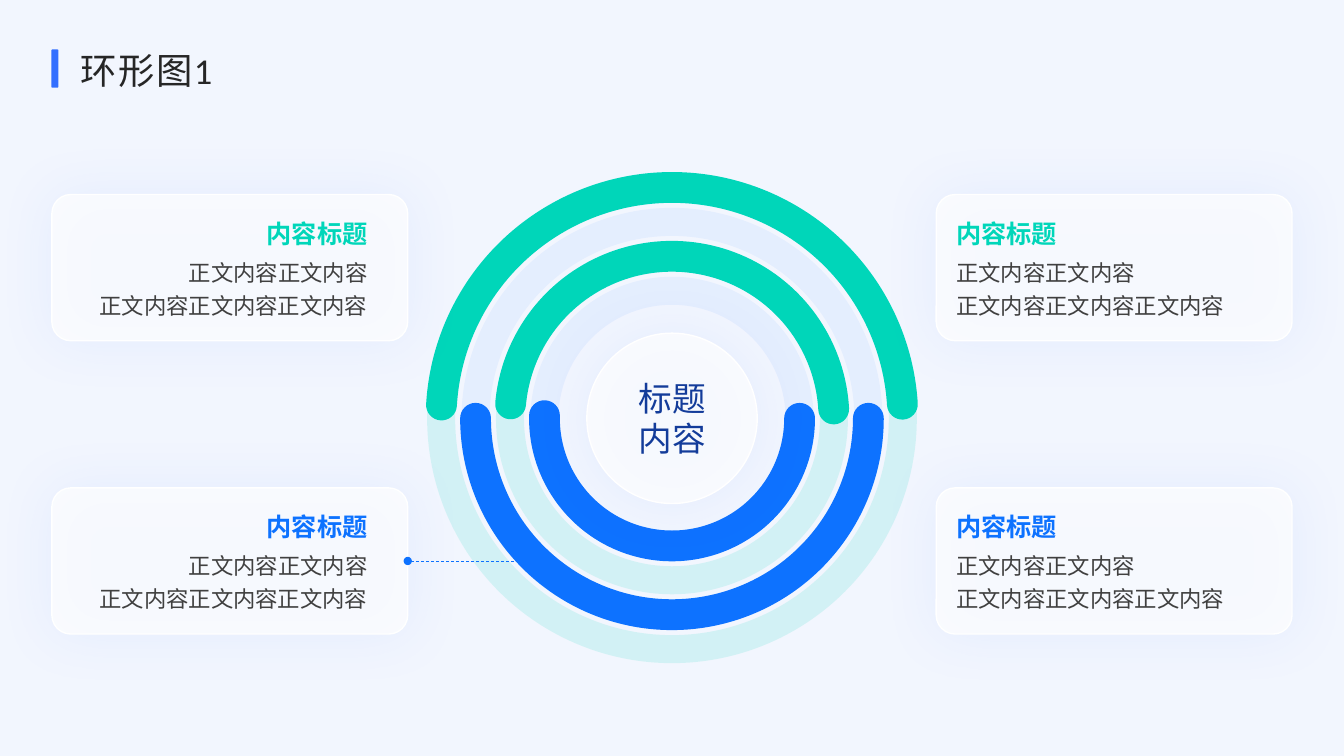
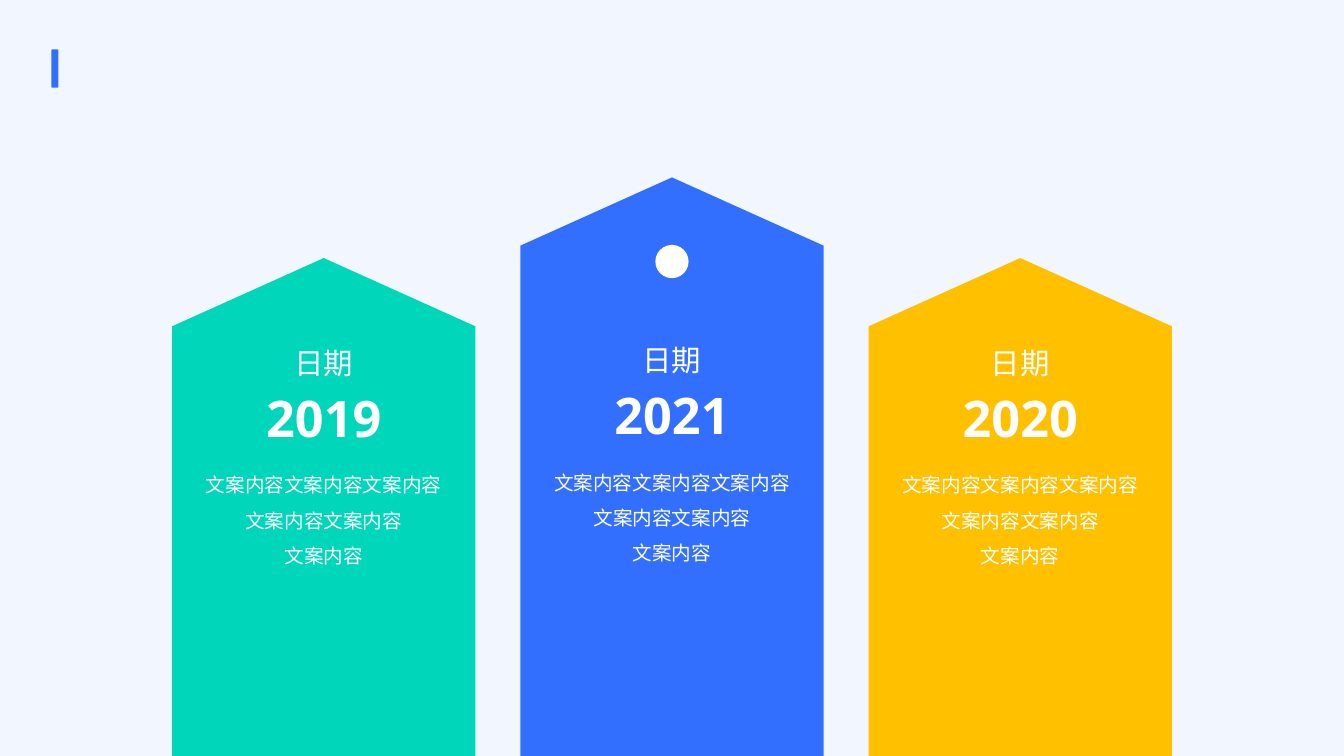
from dataclasses import dataclass

from lxml.etree import SubElement
from pptx import Presentation
from pptx.dml.color import RGBColor
from pptx.enum.dml import MSO_LINE
from pptx.enum.shapes import MSO_CONNECTOR, MSO_SHAPE
from pptx.enum.text import MSO_ANCHOR, PP_ALIGN
from pptx.oxml.ns import qn
from pptx.util import Emu, Inches, Pt

# The slide is a grid of square cells: 133.33 columns by 75 rows.
CELL = Inches(0.1)
COLUMNS, ROWS = 133.33, 75
MIDDLE = COLUMNS / 2

PALE, WHITE = "F2F6FE", "FFFFFF"
ACCENT, GREEN, BLUE, YELLOW = "336FFF", "00D6B9", "0D72FF", "FFC000"
PILLAR_BLUE, NAVY, INK, GREY = "336FFE", "133C9A", "262626", "404040"
BODY_FONT, YEAR_FONT, DATE_FONT = "Calibri", "Noto Sans", "Cabin"


@dataclass
class Box:
    left: float
    top: float
    width: float
    height: float

    def emu(self):
        return [cells(v) for v in (self.left, self.top, self.width, self.height)]

    def inner(self, dx, dy, width, height):
        return Box(self.left + dx, self.top + dy, width, height)


def cells(count):
    return Emu(round(count * CELL))


def square(center_x, center_y, side):
    return Box(center_x - side / 2, center_y - side / 2, side, side)


def rgb(hex_color):
    return RGBColor.from_string(hex_color)


def set_alpha(fill_parent, percent):
    color = fill_parent.find(qn("a:solidFill")).find(qn("a:srgbClr"))
    SubElement(color, qn("a:alpha"), val=str(percent * 1000))


def add_shape(slide, preset, box, fill=None, fill_alpha=None,
              line=None, line_width=1, line_alpha=None):
    shape = slide.shapes.add_shape(preset, *box.emu())
    shape.shadow.inherit = False
    properties = shape.element.spPr
    if fill:
        shape.fill.solid()
        shape.fill.fore_color.rgb = rgb(fill)
        if fill_alpha:
            set_alpha(properties, fill_alpha)
    else:
        shape.fill.background()
    if line:
        shape.line.color.rgb = rgb(line)
        shape.line.width = Pt(line_width)
        if line_alpha:
            set_alpha(properties.find(qn("a:ln")), line_alpha)
    else:
        shape.line.fill.background()
    return shape


def add_glass(slide, preset, box):
    """Translucent white panel with a soft blue glow."""
    glass = add_shape(slide, preset, box, WHITE, 70, WHITE)
    effects = glass.element.spPr.find(qn("a:effectLst"))
    glow = SubElement(effects, qn("a:outerShdw"), blurRad=str(Pt(40)), dist="0",
                      dir="0", algn="ctr", rotWithShape="0")
    color = SubElement(glow, qn("a:srgbClr"), val=ACCENT)
    SubElement(color, qn("a:alpha"), val="10000")
    return glass


def write(frame, lines, size, color, font=BODY_FONT, bold=False,
          align=PP_ALIGN.LEFT, spacing=None):
    frame.word_wrap = True
    frame.text = "\n".join(lines)
    for paragraph in frame.paragraphs:
        paragraph.alignment = align
        paragraph.line_spacing = spacing
        for run in paragraph.runs:
            run.font.size = Pt(size)
            run.font.name = font
            run.font.bold = bold
            run.font.color.rgb = rgb(color)


def add_text(slide, box, lines, size, color, insets=(1, 0.5, 1, 0.5), **style):
    frame = slide.shapes.add_textbox(*box.emu()).text_frame
    (frame.margin_left, frame.margin_top,
     frame.margin_right, frame.margin_bottom) = [cells(i) for i in insets]
    write(frame, lines, size, color, **style)
    return frame


def add_base_slide(deck, title=None):
    slide = deck.slides.add_slide(deck.slide_layouts[6])
    slide.background.fill.solid()
    slide.background.fill.fore_color.rgb = rgb(PALE)
    add_shape(slide, MSO_SHAPE.ROUNDED_RECTANGLE, Box(5.1, 4.9, 0.7, 3.8), ACCENT)
    if title:
        frame = add_text(slide, Box(7, 4.7, 80.3, 5.1), [title], 26, INK, spacing=0.9)
        frame.vertical_anchor = MSO_ANCHOR.MIDDLE
        for run in frame.paragraphs[0].runs:
            run.font.element.set("spc", "100") if hasattr(run.font, "element") \
                else run._r.get_or_add_rPr().set("spc", "100")
    return slide


def add_ring_chart(slide, box):
    """Concentric tracks with thick arcs; angles run clockwise from the right."""
    center_x, center_y = box.left + box.width / 2, box.top + box.height / 2
    arcs = [(GREEN, 12, 183.3, 356.5), (BLUE, 5, 0, 180),
            (GREEN, 12, 185.1, 356.7), (BLUE, 5, 0, 181.2)]
    step = 6.83
    tracks = [square(center_x, center_y, box.width - step * i) for i in range(len(arcs))]

    for track, (color, _, start, end) in zip(tracks, arcs):
        arc = add_shape(slide, MSO_SHAPE.ARC, track, line=color, line_width=22)
        arc.adjustments[0], arc.adjustments[1] = start * 0.6, end * 0.6
        arc.element.spPr.find(qn("a:ln")).set("cap", "rnd")

    hub = add_glass(slide, MSO_SHAPE.OVAL, square(center_x, center_y, 16.9))
    hub.text_frame.vertical_anchor = MSO_ANCHOR.MIDDLE
    write(hub.text_frame, ["标题", "内容"], 24, NAVY, align=PP_ALIGN.CENTER)

    for track, (color, alpha, _, _) in zip(tracks, arcs):
        add_shape(slide, MSO_SHAPE.OVAL, track, line=color, line_width=20, line_alpha=alpha)


def add_card(slide, box, color, align):
    card = add_glass(slide, MSO_SHAPE.ROUNDED_RECTANGLE, box)
    card.adjustments[0] = 0.13
    add_text(slide, box.inner(1, 1.1, 31.3, 4.5), ["内容标题"], 18, color,
             bold=True, align=align, spacing=1.25)
    add_text(slide, box.inner(1, 5.2, 31.3, 10.8),
             ["正文内容正文内容", "正文内容正文内容正文内容"], 16, GREY,
             align=align, spacing=1.25)
    return card


def add_leader(slide, card, box, end_column):
    """Dashed line from the right side of a card to a column of the grid."""
    row = cells(box.top + box.height / 2)
    leader = slide.shapes.add_connector(
        MSO_CONNECTOR.STRAIGHT, cells(box.left + box.width), row, cells(end_column), row)
    leader.begin_connect(card, 3)
    leader.line.color.rgb = rgb(BLUE)
    leader.line.width = Pt(0.5)
    leader.line.dash_style = MSO_LINE.DASH
    properties = leader.element.spPr
    SubElement(properties.find(qn("a:ln")), qn("a:headEnd"), type="oval")
    SubElement(properties, qn("a:effectLst"))


def build_ring_slide(deck):
    slide = add_base_slide(deck, "环形图1")
    add_ring_chart(slide, square(MIDDLE, 41.5, 45.8))
    card_width, card_height, margin = 35.3, 14.5, 5.15
    sides = [(margin, PP_ALIGN.RIGHT),
             (COLUMNS - margin - card_width, PP_ALIGN.LEFT)]
    for top, color in [(19.3, GREEN), (48.4, BLUE)]:
        for left, align in sides:
            box = Box(left, top, card_width, card_height)
            card = add_card(slide, box, color, align)
            if color == BLUE and align == PP_ALIGN.RIGHT:
                add_leader(slide, card, box, 51.7)


def add_pillar(slide, box, color, year, date_top):
    """Upward-pointing pillar filling the box, with its date text."""
    center_x = box.left + box.width / 2
    center_y = box.top + box.height / 2
    lying = Box(center_x - box.height / 2, center_y - box.width / 2, box.height, box.width)
    pillar = add_shape(slide, MSO_SHAPE.PENTAGON, lying, color)
    pillar.rotation = 270
    pillar.adjustments[0] = 0.225

    def centred(dy, width, height, lines, size, **style):
        area = Box(center_x - width / 2, date_top + dy, width, height)
        add_text(slide, area, lines, size, WHITE, align=PP_ALIGN.CENTER, **style)

    centred(0, 14.1, 4.2, ["日期"], 21, font=DATE_FONT, insets=(0, 0.7, 0, 0))
    centred(4.2, 16.8, 7.4, [year], 36, font=YEAR_FONT, bold=True,
            insets=(1.3, 0.7, 1.3, 0.7))
    centred(11.8, 26.8, 11.2,
            ["文案内容文案内容文案内容", "文案内容文案内容", "文案内容"], 14, spacing=1.5)


def build_pillar_slide(deck):
    slide = add_base_slide(deck)
    pitch, width = 34.55, 30.1
    pillars = [("2019", GREEN, 49.4, 33.5), ("2021", PILLAR_BLUE, 57.4, 33.25),
               ("2020", YELLOW, 49.4, 33.5)]
    for column, (year, color, height, date_top) in enumerate(pillars):
        left = MIDDLE + (column - 1) * pitch - width / 2
        add_pillar(slide, Box(left, ROWS - height, width, height), color, year, date_top)
    add_shape(slide, MSO_SHAPE.OVAL, square(MIDDLE, 25.95, 3.3), WHITE)


def main():
    deck = Presentation()
    deck.slide_width, deck.slide_height = cells(COLUMNS), cells(ROWS)
    build_ring_slide(deck)
    build_pillar_slide(deck)
    deck.save("out.pptx")


if __name__ == "__main__":
    main()
